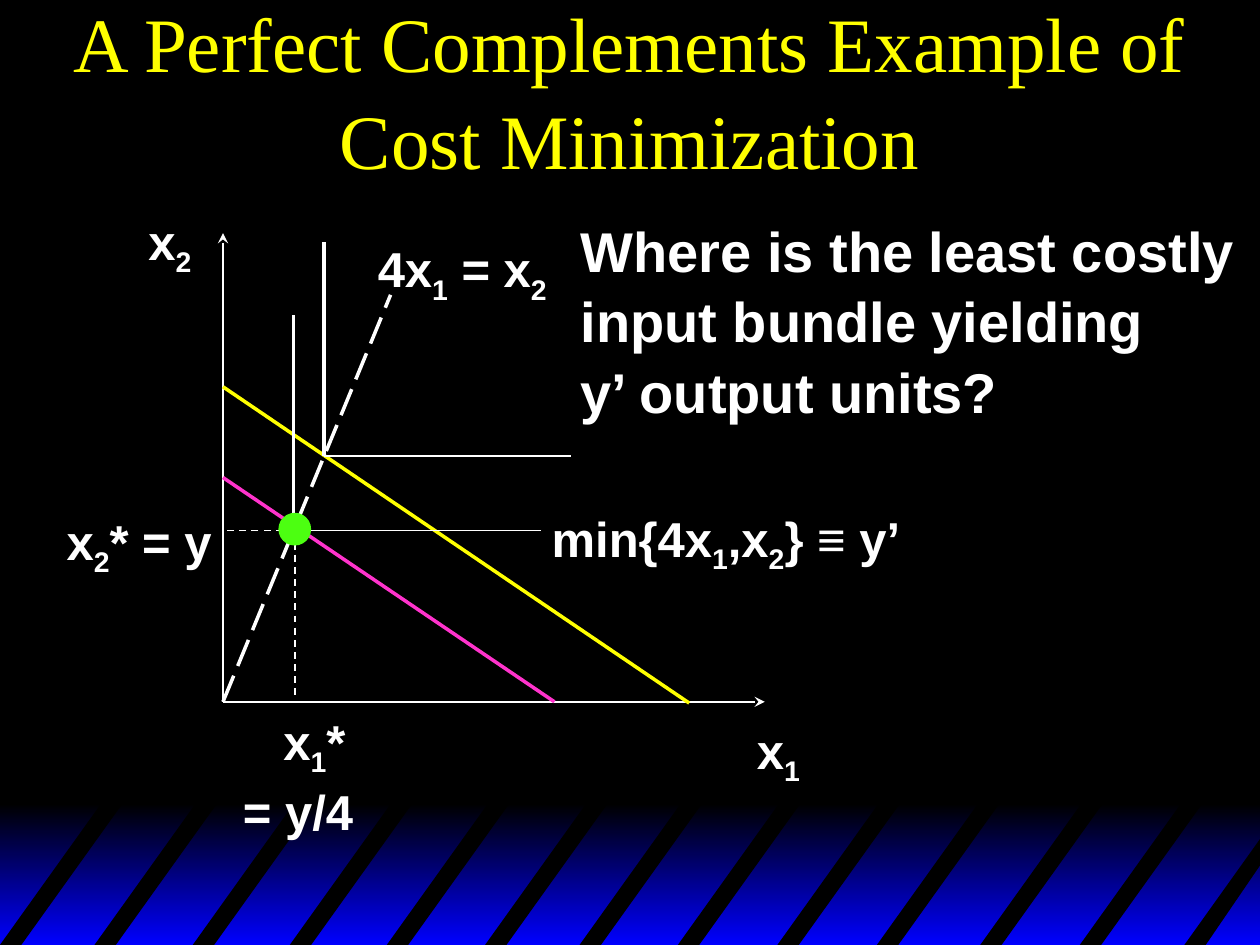
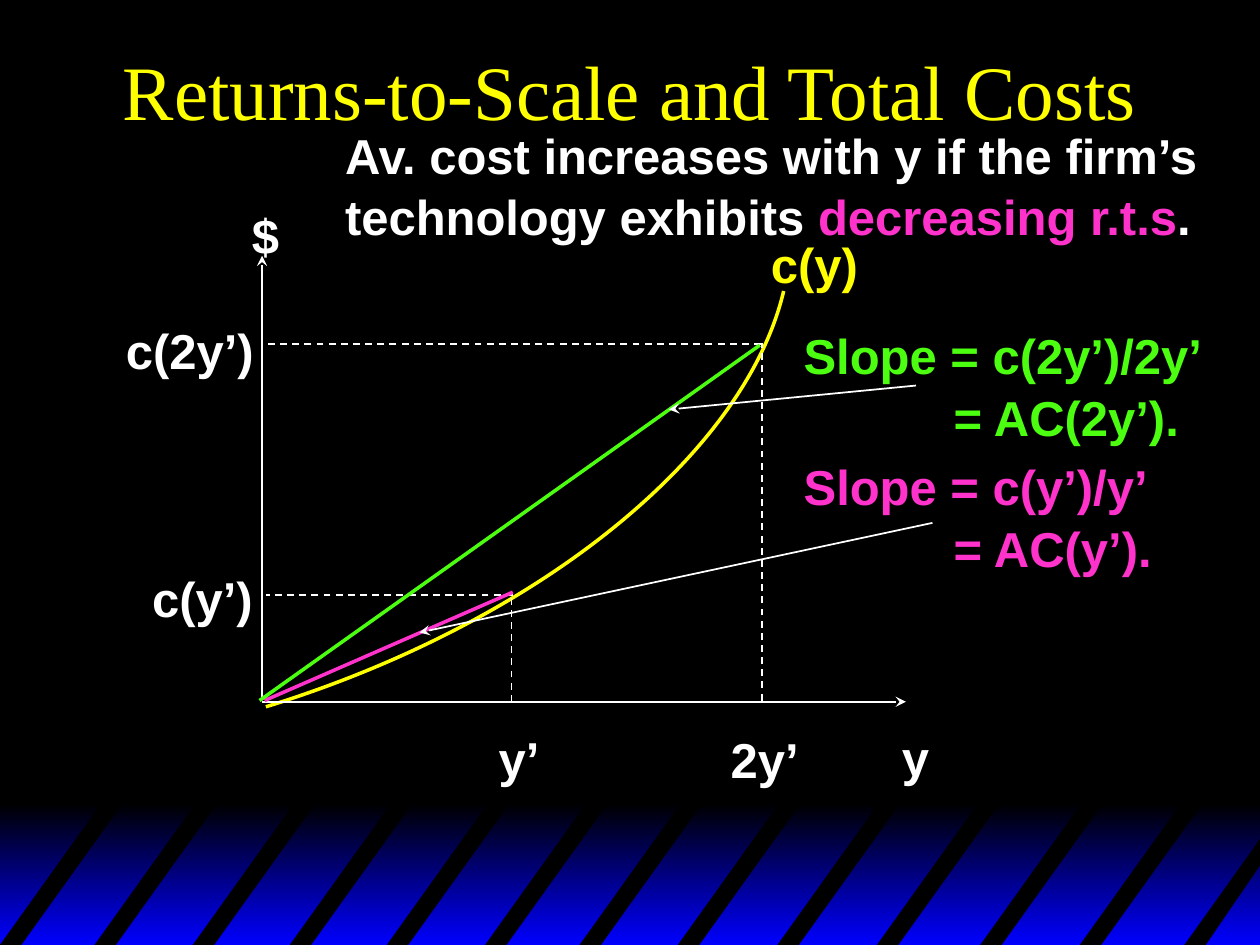
"""Build two economics slides on cost minimization and returns to scale."""

from dataclasses import dataclass
from typing import Optional

from lxml import etree
from pptx import Presentation
from pptx.dml.color import RGBColor
from pptx.enum.dml import MSO_LINE
from pptx.enum.shapes import MSO_CONNECTOR, MSO_SHAPE
from pptx.enum.text import MSO_ANCHOR, PP_ALIGN
from pptx.oxml.ns import qn
from pptx.util import Inches, Pt

STRAIGHT = MSO_CONNECTOR.STRAIGHT
RECTANGLE, OVAL = MSO_SHAPE.RECTANGLE, MSO_SHAPE.OVAL
DASH, LONG_DASH = MSO_LINE.DASH, MSO_LINE.LONG_DASH
MIDDLE, CENTER = MSO_ANCHOR.MIDDLE, PP_ALIGN.CENTER
TITLE_ONLY = 5

Point = tuple[float, float]


@dataclass(frozen=True)
class Theme:
    black: str = "000000"
    blue: str = "0000FF"
    white: str = "FFFFFF"
    yellow: str = "FFFF00"
    pink: str = "FF33CC"
    green: str = "4CFF11"
    title_font: str = "Times New Roman"
    body_font: str = "Arial"
    title_size: int = 44
    question_size: int = 32
    label_size: int = 28
    line_spacing: float = 1.05
    thin: float = 1
    thick: float = 2


THEME = Theme()


@dataclass(frozen=True)
class Span:
    text: str
    color: str = THEME.white
    subscript: bool = False


@dataclass(frozen=True)
class Label:
    left: float
    top: float
    width: float
    height: float
    lines: tuple[list[Span], ...]
    size: int = THEME.label_size
    indents: tuple[float, ...] = ()


@dataclass(frozen=True)
class Segment:
    start: Point
    end: Point
    color: str = THEME.white
    width: float = THEME.thin
    dash: Optional[MSO_LINE] = None
    arrow: str = ""


BAND_TOP, STRIPE_TOP, BOTTOM = 6.38, 6.34, 7.5
STRIPE_LEFTS = (0, 0.75, 1.53, 2.3, 3.07, 3.85, 4.6, 5.38, 6.17, 6.96, 7.78, 8.57)
STRIPE_WIDTH, STRIPE_LEAN = 0.17, 0.83
LAST_STRIPE = [(9.4, BOTTOM), (10, 6.66), (10, 6.87), (9.57, BOTTOM)]


def spans(text: str, color: str = THEME.white) -> list[Span]:
    """Split text into spans, lowering each character that follows an underscore."""
    first, *rest = text.split("_")
    result = [Span(first, color)]
    for piece in rest:
        result.append(Span(piece[0], color, True))
        if piece[1:]:
            result.append(Span(piece[1:], color))
    return result


def rgb(color: str) -> RGBColor:
    """Turn a hexadecimal string into a colour."""
    return RGBColor.from_string(color)


def add_outline(slide, points: list[Point], close: bool):
    """Add a freeform through points given in inches."""
    corners = [(Inches(x), Inches(y)) for x, y in points]
    builder = slide.shapes.build_freeform(*corners[0], scale=1.0)
    builder.add_line_segments(corners[1:], close=close)
    shape = builder.convert_to_shape()
    shape.shadow.inherit = False
    return shape


def add_stripe(slide, points: list[Point]) -> None:
    """Add one black slanted stripe."""
    stripe = add_outline(slide, points, close=True)
    stripe.fill.solid()
    stripe.fill.fore_color.rgb = rgb(THEME.black)
    stripe.line.fill.background()


def add_band(slide) -> None:
    """Add the gradient band with its stripes."""
    band = slide.shapes.add_shape(
        RECTANGLE, 0, Inches(BAND_TOP), Inches(10), Inches(BOTTOM - BAND_TOP))
    band.shadow.inherit = False
    band.line.fill.background()
    band.fill.gradient()
    band.fill.gradient_angle = 270
    for stop, color in zip(band.fill.gradient_stops, (THEME.black, THEME.blue)):
        stop.color.rgb = rgb(color)
    for left in STRIPE_LEFTS:
        peak = left + STRIPE_LEAN
        add_stripe(slide, [(left, BOTTOM), (peak, STRIPE_TOP),
                           (peak + STRIPE_WIDTH, STRIPE_TOP),
                           (left + STRIPE_WIDTH, BOTTOM)])
    add_stripe(slide, LAST_STRIPE)


def add_slide(presentation, title: str):
    """Add a black slide with a band and a formatted title."""
    slide = presentation.slides.add_slide(presentation.slide_layouts[TITLE_ONLY])
    slide.background.fill.solid()
    slide.background.fill.fore_color.rgb = rgb(THEME.black)
    add_band(slide)
    shape = slide.shapes.title
    shape.left, shape.top = Inches(0), Inches(0.03)
    shape.width, shape.height = Inches(10), Inches(1.33)
    frame = shape.text_frame
    frame.text = title
    frame.word_wrap = True
    frame.vertical_anchor = MIDDLE
    paragraph = frame.paragraphs[0]
    paragraph.alignment = CENTER
    paragraph.line_spacing = THEME.line_spacing
    font = paragraph.runs[0].font
    font.name, font.size = THEME.title_font, Pt(THEME.title_size)
    font.color.rgb = rgb(THEME.yellow)
    return slide


def add_label(slide, label: Label) -> None:
    """Add a bold text label."""
    box = slide.shapes.add_textbox(Inches(label.left), Inches(label.top),
                                   Inches(label.width), Inches(label.height))
    frame = box.text_frame
    frame.word_wrap = False
    frame.margin_top = Inches(0.08)
    for index, line in enumerate(label.lines):
        paragraph = frame.add_paragraph() if index else frame.paragraphs[0]
        paragraph.line_spacing = THEME.line_spacing
        if label.indents:
            properties = paragraph._p.get_or_add_pPr()
            properties.set("marL", str(Inches(label.indents[index])))
            properties.set("indent", "0")
        for span in line:
            run = paragraph.add_run()
            run.text = span.text
            font = run.font
            font.name, font.size, font.bold = THEME.body_font, Pt(label.size), True
            font.color.rgb = rgb(span.color)
            if span.subscript:
                run._r.get_or_add_rPr().set("baseline", "-25000")


def add_segment(slide, segment: Segment) -> None:
    """Add a straight line, dashed or with an arrowhead where asked."""
    connector = slide.shapes.add_connector(
        STRAIGHT, *(Inches(value) for value in segment.start + segment.end))
    line = connector.line
    line.color.rgb = rgb(segment.color)
    line.width = Pt(segment.width)
    if segment.dash:
        line.dash_style = segment.dash
    if segment.arrow:
        etree.SubElement(line._get_or_add_ln(), qn(f"a:{segment.arrow}"), type="stealth")
    etree.SubElement(connector._element.spPr, qn("a:effectLst"))


def add_curve(slide, points: list[Point], color: str) -> None:
    """Add an open cubic curve from its four control points."""
    shape = add_outline(slide, points, close=False)
    shape.fill.background()
    shape.line.color.rgb = rgb(color)
    shape.line.width = Pt(THEME.thick)
    outline = shape._element.find(".//" + qn("a:path"))
    steps = outline.findall(qn("a:lnTo"))
    curve = etree.SubElement(outline, qn("a:cubicBezTo"))
    for step in steps:
        curve.append(step[0])
        outline.remove(step)


def add_dot(slide, center: Point, diameter: float) -> None:
    """Add a green dot that marks an optimum."""
    left, top = (Inches(value - diameter / 2) for value in center)
    dot = slide.shapes.add_shape(OVAL, left, top, Inches(diameter), Inches(diameter))
    dot.shadow.inherit = False
    dot.fill.solid()
    dot.fill.fore_color.rgb = rgb(THEME.green)
    dot.line.fill.background()


def build_cost_minimization(presentation) -> None:
    """Build the perfect complements slide."""
    slide = add_slide(presentation, "A Perfect Complements Example of Cost Minimization")
    origin, optimum, costlier = (1.77, 5.57), (2.34, 4.21), (2.57, 3.62)
    thick = THEME.thick
    for segment in (
        Segment((1.77, 1.85), origin, arrow="headEnd"),
        Segment(origin, (6.07, 5.57), arrow="tailEnd"),
        Segment((5.47, 5.58), (1.77, 3.07), THEME.yellow, thick),
        Segment((4.4, 5.57), (1.77, 3.79), THEME.pink, thick),
        Segment(optimum, (2.34, 5.56), dash=DASH),
        Segment(optimum, (1.8, 4.21), dash=DASH),
        Segment(origin, (3.1, 2.34), width=thick, dash=LONG_DASH),
        Segment(costlier, (2.57, 1.92), width=thick),
        Segment(costlier, (4.53, 3.62)),
        Segment((2.33, 4.21), (2.33, 2.5), width=thick),
        Segment((2.33, 4.21), (4.29, 4.21)),
    ):
        add_segment(slide, segment)
    add_dot(slide, (2.34, 4.2), 0.26)
    question = ("Where is the least costly", "input bundle yielding", "y’ output units?")
    for label in (
        Label(5.91, 5.61, 0.54, 0.63, (spans("x_1"),)),
        Label(1.08, 1.57, 0.54, 0.63, (spans("x_2"),)),
        Label(1.83, 5.54, 1.08, 1.1, (spans("x_1*"), spans("= y/4")), indents=(0.32, 0)),
        Label(0.43, 3.95, 1.35, 0.63, (spans("x_2* = y"),)),
        Label(2.9, 1.79, 1.54, 0.63, (spans("4x_1 = x_2"),)),
        Label(4.28, 3.93, 3.05, 0.63, (spans("min{4x_1,x_2} ≡ y’"),)),
        Label(4.51, 1.61, 5.4, 1.7, tuple(map(spans, question)), THEME.question_size),
    ):
        add_label(slide, label)


def build_total_costs(presentation) -> None:
    """Build the returns-to-scale slide."""
    slide = add_slide(presentation, "Returns-to-Scale and Total Costs")
    add_curve(slide, [(6.22, 2.31), (5.91, 3.62), (4.25, 4.95), (2.11, 5.61)], THEME.yellow)
    thick = THEME.thick
    for segment in (
        Segment((2.08, 2.03), (2.08, 5.55), arrow="headEnd"),
        Segment((2.08, 5.57), (7.19, 5.57), arrow="tailEnd"),
        Segment((6.05, 5.56), (6.05, 2.72), dash=DASH),
        Segment((4.06, 5.57), (4.06, 4.73), dash=DASH),
        Segment((6.04, 2.73), (2.13, 2.73), dash=DASH),
        Segment((4.07, 4.72), (2.11, 4.72), dash=DASH),
        Segment((2.1, 5.56), (4.07, 4.7), THEME.pink, thick),
        Segment((2.06, 5.56), (6.03, 2.74), THEME.green, thick),
        Segment((7.27, 3.06), (5.31, 3.25), arrow="tailEnd"),
        Segment((7.4, 4.15), (3.33, 5.02), arrow="tailEnd"),
    ):
        add_segment(slide, segment)
    slope_indents = (0, 1.19)
    finding = (spans("Av. cost increases with y if the firm’s"),
               [Span("technology exhibits "), Span("decreasing r.t.s", THEME.pink), Span(".")])
    for label in (
        Label(7.06, 5.67, 0.42, 0.57, (spans("y"),)),
        Label(1.9, 1.53, 0.42, 0.57, (spans("$"),)),
        Label(6.02, 1.76, 0.89, 0.57, (spans("c(y)", THEME.yellow),)),
        Label(3.86, 5.68, 0.53, 0.57, (spans("y’"),)),
        Label(5.7, 5.69, 0.74, 0.57, (spans("2y’"),)),
        Label(1.11, 4.41, 1, 0.57, (spans("c(y’)"),)),
        Label(0.9, 2.44, 1.22, 0.57, (spans("c(2y’)"),)),
        Label(6.28, 2.48, 3.36, 1.04, (spans("Slope = c(2y’)/2y’", THEME.green),
              spans("= AC(2y’).", THEME.green)), indents=slope_indents),
        Label(6.28, 3.52, 2.98, 1.04, (spans("Slope = c(y’)/y’", THEME.pink),
              spans("= AC(y’).", THEME.pink)), indents=slope_indents),
        Label(2.64, 0.89, 7.02, 1.04, finding),
    ):
        add_label(slide, label)


def main() -> None:
    """Build and save the presentation."""
    presentation = Presentation()
    presentation.slide_width, presentation.slide_height = Inches(10), Inches(7.5)
    build_cost_minimization(presentation)
    build_total_costs(presentation)
    presentation.save("out.pptx")


if __name__ == "__main__":
    main()
